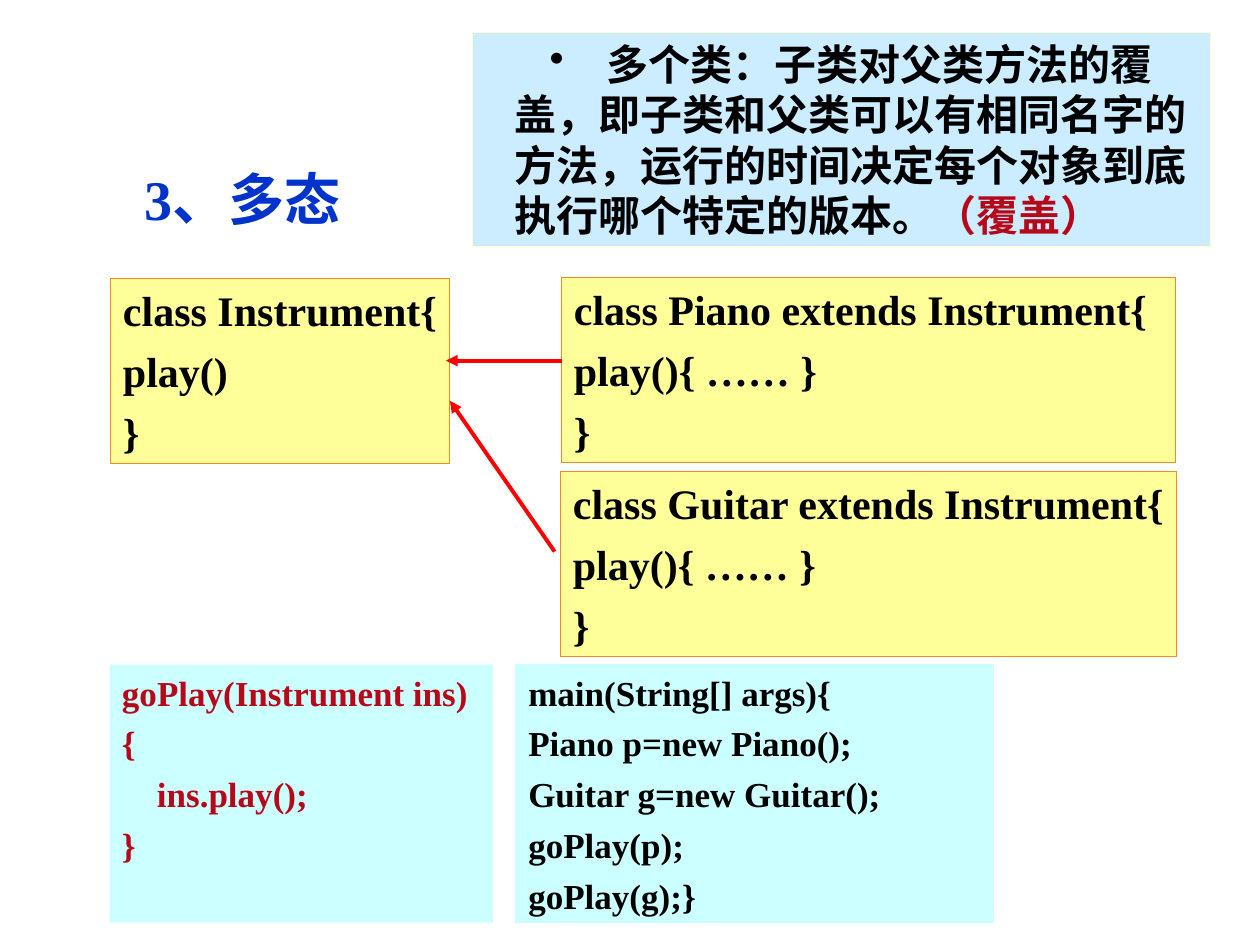
import pptx
import pptx.dml.color
import pptx.enum.shapes
import pptx.enum.text
import pptx.oxml
import pptx.oxml.ns
import pptx.util

Cm = pptx.util.Cm
Pt = pptx.util.Pt
RGBColor = pptx.dml.color.RGBColor
Anchor = pptx.enum.text.MSO_ANCHOR

FONT = "Times New Roman"
LINE_FACTOR = 1.2
BLACK = RGBColor(0x00, 0x00, 0x00)
BLUE = RGBColor(0x00, 0x33, 0xCC)
CRIMSON = RGBColor(0xB6, 0x08, 0x19)
RED = RGBColor(0xFF, 0x00, 0x00)
SKY = RGBColor(0xCC, 0xEC, 0xFF)
CREAM = RGBColor(0xFF, 0xFF, 0xCC)
YELLOW = RGBColor(0xFF, 0xFF, 0x99)
ORANGE = RGBColor(0xFB, 0x88, 0x1F)
CYAN = RGBColor(0xCC, 0xFF, 0xFF)

TITLE = "3、多态"
OVERRIDING = [
    ("　", BLACK, False),
    ("多个类：子类对父类方法的覆盖，即子类和父类可以有相同名字的方法，"
     "运行的时间决定每个对象到底执行哪个特定的版本。", BLACK, True),
    ("（覆盖）", CRIMSON, True),
]

# Places are left, top, width, height in cm.
TITLE_PLACE = (2.67, 3.15, 8, 1.7)
OVERRIDING_PLACE = (9.53, 0.65, 14.88, 4.32)
CLASSES = [
    ((2.23, 5.61, 6.83, 3.73), ["class Instrument{", "play()", "}"]),
    ((11.3, 9.5, 12.42, 3.73),
     ["class Guitar extends Instrument{", "play(){ …… }", "}"]),
    ((11.32, 5.59, 12.38, 3.73),
     ["class Piano extends Instrument{", "play(){ …… }", "}"]),
]
PROGRAMS = [
    ((2.21, 13.4, 7.73, 5.2), CRIMSON, None,
     ["goPlay(Instrument ins)", "{", "    ins.play();", "}"]),
    ((10.4, 13.4, 9.63, 5.2), BLACK, CYAN,
     ["main(String[] args){", "Piano p=new Piano();",
      "Guitar g=new Guitar();", "goPlay(p);", "goPlay(g);}"]),
]
# Inheritance arrows: x, y of the subclass end, then of the parent end.
INHERITANCE = [(11.33, 7.27, 8.99, 7.27), (11.18, 11.12, 9.07, 8.08)]


def add_panel(slide, place, fill, outline):
    panel = slide.shapes.add_shape(
        pptx.enum.shapes.MSO_SHAPE.RECTANGLE, *map(Cm, place))
    panel.shadow.inherit = False
    panel.fill.solid()
    panel.fill.fore_color.rgb = fill
    if outline is None:
        panel.line.fill.background()
    else:
        panel.line.color.rgb = outline
        panel.line.width = Pt(0.75)
    return panel


def prepare_frame(shape, anchor):
    frame = shape.text_frame
    frame.word_wrap = True
    frame.vertical_anchor = anchor
    frame.margin_left = Cm(0.25)
    frame.margin_right = 0
    frame.margin_top = frame.margin_bottom = Cm(0.13)
    return frame


def write_paragraph(paragraph, runs, size, space_before=0):
    """Fill a paragraph with (text, colour, bold) runs."""
    paragraph.alignment = pptx.enum.text.PP_ALIGN.LEFT
    paragraph.line_spacing = Pt(size * LINE_FACTOR)
    paragraph.space_before = Pt(space_before)
    for text, color, bold in runs:
        run = paragraph.add_run()
        run.text = text
        run.font.name = FONT
        run.font.size = Pt(size)
        run.font.bold = bold
        run.font.color.rgb = color


def add_code(slide, place, lines, size, gap, color, fill, outline):
    panel = add_panel(slide, place, fill, outline)
    frame = prepare_frame(panel, Anchor.TOP)
    for number, line in enumerate(lines):
        paragraph = frame.add_paragraph() if number else frame.paragraphs[0]
        write_paragraph(paragraph, [(line, color, True)], size,
                        gap if number else 0)


def add_bullet(paragraph, margin, indent):
    """Give a bullet, and keep punctuation inside the right margin."""
    properties = paragraph._p.get_or_add_pPr()
    properties.set("marL", str(Cm(margin)))
    properties.set("indent", str(Cm(indent)))
    properties.set("hangingPunct", "0")
    bullet = pptx.oxml.parse_xml(
        f'<a:buChar {pptx.oxml.ns.nsdecls("a")} char="•"/>')
    properties.append(bullet)


def add_arrow(slide, ends):
    arrow = slide.shapes.add_connector(
        pptx.enum.shapes.MSO_CONNECTOR.STRAIGHT, *map(Cm, ends))
    arrow.line.color.rgb = RED
    arrow.line.width = Pt(2.25)
    namespace = pptx.oxml.ns.nsdecls("a")
    arrow.line._get_or_add_ln().append(pptx.oxml.parse_xml(
        f'<a:tailEnd {namespace} type="triangle"/>'))
    arrow._element.spPr.append(
        pptx.oxml.parse_xml(f"<a:effectLst {namespace}/>"))


def main():
    deck = pptx.Presentation()
    deck.slide_width, deck.slide_height = Cm(25.4), Cm(19.05)
    slide = deck.slides.add_slide(deck.slide_layouts[6])

    title = slide.shapes.add_textbox(*map(Cm, TITLE_PLACE))
    title_frame = prepare_frame(title, Anchor.MIDDLE)
    write_paragraph(title_frame.paragraphs[0], [(TITLE, BLUE, True)], 32)

    overriding = add_panel(slide, OVERRIDING_PLACE, SKY, CREAM)
    overriding_frame = prepare_frame(overriding, Anchor.MIDDLE)
    overriding_frame.margin_right = Cm(0.25)
    definition = overriding_frame.paragraphs[0]
    add_bullet(definition, 0.6, 0.7)
    write_paragraph(definition, OVERRIDING, 24)

    for place, lines in CLASSES:
        add_code(slide, place, lines, 24, 6, BLACK, YELLOW, ORANGE)
    for ends in INHERITANCE:
        add_arrow(slide, ends)
    for place, color, outline, lines in PROGRAMS:
        add_code(slide, place, lines, 20, 5, color, CYAN, outline)

    deck.save("out.pptx")


if __name__ == "__main__":
    main()
